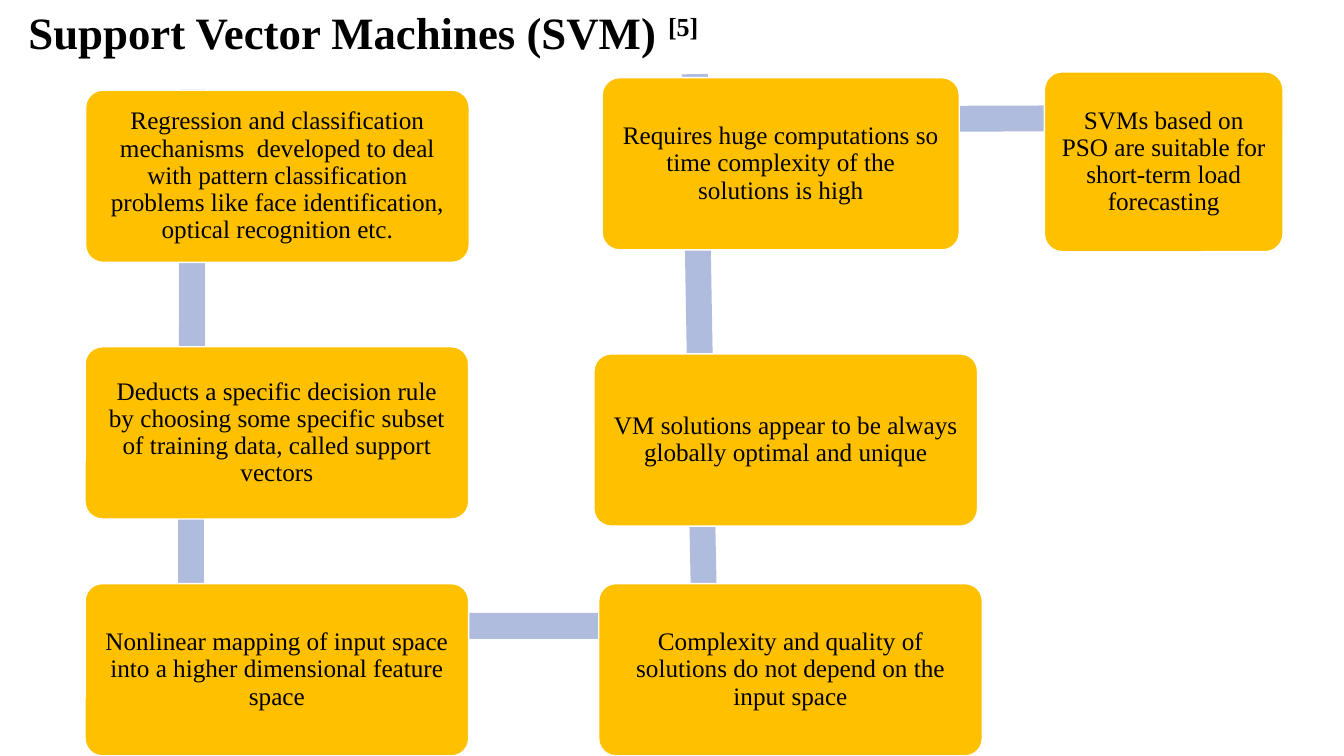
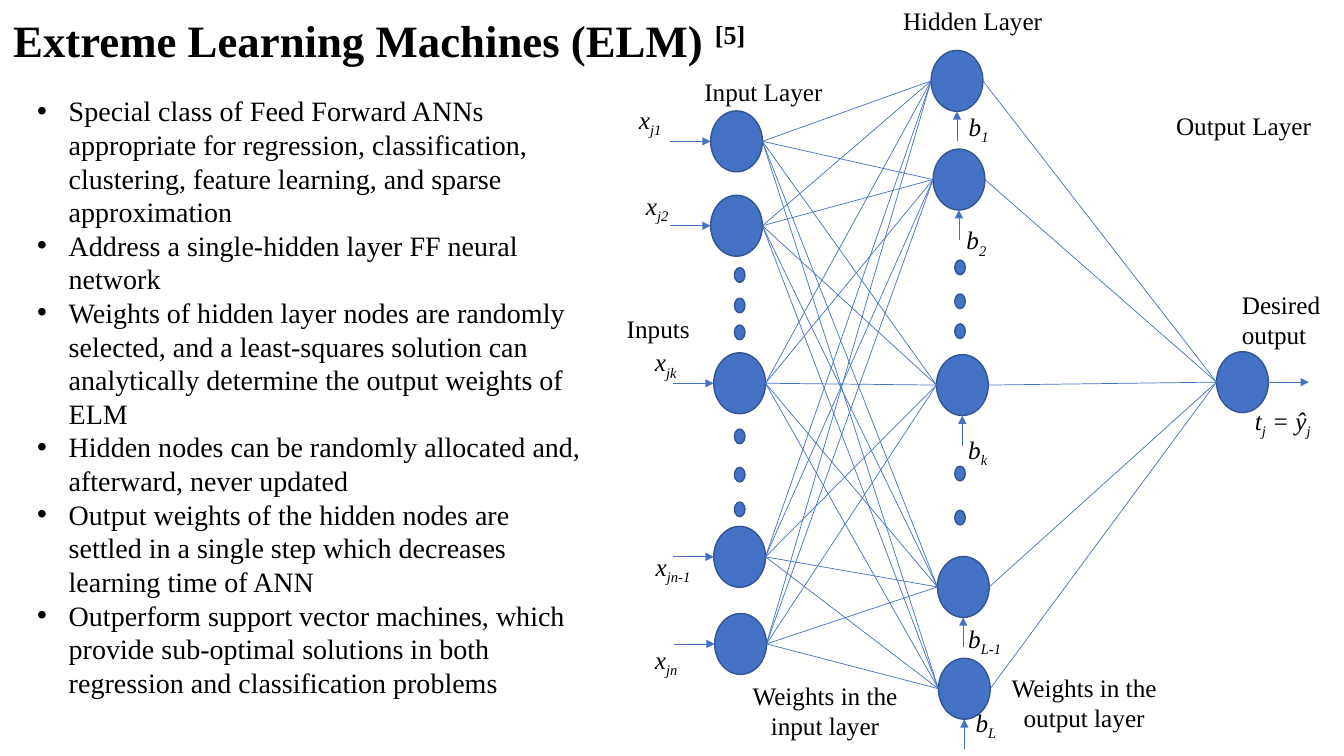
from itertools import product

from lxml import etree
from pptx import Presentation
from pptx.dml.color import RGBColor
from pptx.enum.shapes import MSO_CONNECTOR, MSO_SHAPE
from pptx.enum.text import MSO_ANCHOR, MSO_AUTO_SIZE, PP_ALIGN
from pptx.oxml.ns import qn
from pptx.util import Pt

LEFT, CENTER = PP_ALIGN.LEFT, PP_ALIGN.CENTER
TOP, MIDDLE = MSO_ANCHOR.TOP, MSO_ANCHOR.MIDDLE
NO_AUTOFIT = MSO_AUTO_SIZE.NONE
STRAIGHT = MSO_CONNECTOR.STRAIGHT
RECTANGLE, ROUNDED = MSO_SHAPE.RECTANGLE, MSO_SHAPE.ROUNDED_RECTANGLE
ELLIPSE, DOT = MSO_SHAPE.OVAL, MSO_SHAPE.FLOWCHART_CONNECTOR

COLORS = {
    "text": "000000",
    "white": "FFFFFF",
    "step": "FFC000",
    "band": "B0BCDE",
    "node": "4472C4",
    "node_edge": "325491",
}
FONT = "Times New Roman"
TITLE_SIZE, BODY_SIZE, LABEL_SIZE = 32, 20, 18
SUPERSCRIPT, SUBSCRIPT = 30, -25
TITLE_ONLY, TITLE_AND_BODY = 5, 1

# Process steps: left, top, width, height, text
STEPS = [
    (61.2, 64.4, 274, 123, "Regression and classification mechanisms  developed to deal with "
     "pattern classification problems like face identification, optical recognition etc."),
    (60.8, 247.7, 274, 123, "Deducts a specific decision rule by choosing some specific "
     "subset of training data, called support vectors"),
    (60.8, 416.9, 274, 123, "Nonlinear mapping of input space into a higher dimensional "
     "feature space"),
    (427.7, 416.9, 274, 123, "Complexity and quality of solutions do not depend on the input space"),
    (424.3, 252.8, 274, 123, "VM solutions appear to be always globally optimal and unique"),
    (430.2, 55.5, 255, 123, "Requires huge computations so time complexity of the solutions is high"),
    (746, 51.3, 170.5, 128.5, "SVMs based on PSO are suitable for short-term load forecasting"),
]
# Bands behind the steps: centre x, centre y, length, angle
BANDS = [
    (137.2, 185.8, 244, 90.1),
    (136.4, 362.2, 225.4, 90),
    (320, 447.1, 488.9, 0),
    (501.5, 365, 218.2, 268.8),
    (498.6, 184.3, 262.8, 269),
    (633.2, 85, 272.9, 359.8),
]
BAND_THICKNESS = 18.5

BULLETS = [
    "Special class of Feed Forward ANNs appropriate for regression, classification, "
    "clustering, feature learning, and sparse approximation",
    "Address a single-hidden layer FF neural network",
    "Weights of hidden layer nodes are randomly selected, and a least-squares solution "
    "can analytically determine the output weights of ELM",
    "Hidden nodes can be randomly allocated and, afterward, never updated",
    "Output weights of the hidden nodes are settled in a single step which decreases "
    "learning time of ANN",
    "Outperform support vector machines, which provide sub-optimal solutions in both "
    "regression and classification problems",
]

# Network geometry: left and top of each node
NODE_WIDTH, NODE_HEIGHT = 37, 43.5
INPUT_NODES = [(507.6, 79.2), (507.6, 139.5), (509.8, 252), (509.8, 376), (510.5, 438.2)]
HIDDEN_NODES = [(665.1, 36), (666.5, 106.5), (668.9, 253.3), (669.6, 397.5), (670.3, 470.2)]
OUTPUT_NODE = (869, 251.2)
SIDE_ARROW, BIAS_ARROW = 29, 21.5
DOT_WIDTH, DOT_HEIGHT = 7.5, 10.5
# Dots: left of the column, tops
DOT_COLUMNS = [
    (524.6, [191.2, 213, 232.2, 306.5, 333.8, 358.6]),
    (682, [185.8, 210, 231.3, 333, 364.5]),
]
# Variables: left, top, letter, subscript
VARIABLES = [
    (449.3, 70.6, "x", "j1"), (454.3, 132.5, "x", "j2"), (460.8, 244.1, "x", "jk"),
    (461.3, 390.2, "x", "jn-1"), (460.8, 456.5, "x", "jn"),
    (684.9, 75.6, "b", "1"), (683.3, 157, "b", "2"), (684.5, 306.7, "b", "k"),
    (684.5, 441.4, "b", "L-1"), (689.8, 501.8, "b", "L"),
]
# Captions: left, top, width, alignment, text
CAPTIONS = [
    (440.6, 220.3, 70, LEFT, "Inputs"),
    (880, 203, 78, LEFT, "Desired output"),
    (496, 51.1, 110, LEFT, "Input Layer"),
    (638, 0, 125, LEFT, "Hidden Layer"),
    (833, 75, 122, LEFT, "Output Layer"),
    (526.3, 482.4, 126, CENTER, "Weights in the input layer"),
    (711.4, 476.6, 126, CENTER, "Weights in the output layer"),
]


def color(name):
    return RGBColor.from_string(COLORS[name])


def place(shape, left, top, width, height):
    shape.left, shape.top = Pt(left), Pt(top)
    shape.width, shape.height = Pt(width), Pt(height)


def format_frame(frame, anchor=TOP):
    frame.word_wrap = True
    frame.auto_size = NO_AUTOFIT
    frame.vertical_anchor = anchor


def format_para(para, size, align=LEFT, spacing=1.0, bold=False, italic=False):
    para.alignment = align
    para.line_spacing = spacing
    para.space_before = para.space_after = Pt(0)
    for span in para.runs:
        font = span.font
        font.name, font.size = FONT, Pt(size)
        font.bold, font.italic = bold, italic
        font.color.rgb = color("text")


def add_spans(para, spans):
    """Fill a paragraph with (text, baseline shift in percent) spans."""
    for text, shift in spans:
        span = para.add_run()
        span.text = text
        if shift:
            span._r.get_or_add_rPr().set("baseline", str(shift * 1000))


def add_title(page, text, citation, bounds, align):
    title = page.shapes.title
    place(title, *bounds)
    format_frame(title.text_frame)
    para = title.text_frame.paragraphs[0]
    add_spans(para, [(text + " ", 0), (citation, SUPERSCRIPT)])
    format_para(para, TITLE_SIZE, align, bold=True)


def add_bullets(page, items, bounds):
    body = page.placeholders[1]
    place(body, *bounds)
    frame = body.text_frame
    format_frame(frame)
    frame.text = "\n".join(items)
    for para in frame.paragraphs:
        properties = para._p.get_or_add_pPr()
        properties.set("marL", str(Pt(22.5)))
        properties.set("indent", str(Pt(-22.5)))
        font = etree.SubElement(properties, qn("a:buFont"))
        font.set("typeface", "Arial")
        bullet = etree.SubElement(properties, qn("a:buChar"))
        bullet.set("char", "•")
        format_para(para, BODY_SIZE)


def add_block(page, kind, bounds, fill, line=None):
    shape = page.shapes.add_shape(kind, *(Pt(value) for value in bounds))
    shape.shadow.inherit = False
    shape.fill.solid()
    shape.fill.fore_color.rgb = color(fill)
    if line:
        shape.line.color.rgb = color(line)
        shape.line.width = Pt(1)
    else:
        shape.line.fill.background()
    return shape


def add_band(page, center_x, center_y, length, angle):
    bounds = (center_x - length / 2, center_y - BAND_THICKNESS / 2, length, BAND_THICKNESS)
    add_block(page, RECTANGLE, bounds, "band").rotation = angle


def add_step(page, left, top, width, height, text):
    box = add_block(page, ROUNDED, (left, top, width, height), "step", "white")
    box.adjustments[0] = 0.1
    frame = box.text_frame
    format_frame(frame, MIDDLE)
    frame.margin_left = frame.margin_right = Pt(8.7)
    frame.margin_top = frame.margin_bottom = Pt(8.7)
    frame.text = text
    format_para(frame.paragraphs[0], LABEL_SIZE, CENTER, 0.9)


def add_label(page, left, top, width, spans, align=LEFT, italic=False):
    box = page.shapes.add_textbox(Pt(left), Pt(top), Pt(width), Pt(29))
    format_frame(box.text_frame)
    para = box.text_frame.paragraphs[0]
    add_spans(para, spans)
    format_para(para, LABEL_SIZE, align, italic=italic)


def add_line(page, start, end, arrow=False):
    line = page.shapes.add_connector(STRAIGHT, *(Pt(value) for value in (*start, *end)))
    line.line.color.rgb = color("node")
    line.line.width = Pt(0.5)
    if arrow:
        head = etree.SubElement(line.line._get_or_add_ln(), qn("a:tailEnd"))
        head.set("type", "triangle")
    etree.SubElement(line._element.spPr, qn("a:effectLst"))


def left_of(node):
    return node[0], node[1] + NODE_HEIGHT / 2


def right_of(node):
    return node[0] + NODE_WIDTH, node[1] + NODE_HEIGHT / 2


def below(node):
    return node[0] + NODE_WIDTH / 2, node[1] + NODE_HEIGHT


def shift(point, across=0, down=0):
    return point[0] + across, point[1] + down


def add_network(page):
    # Nodes and the dots between them
    for node in (*INPUT_NODES, *HIDDEN_NODES, OUTPUT_NODE):
        add_block(page, ELLIPSE, (*node, NODE_WIDTH, NODE_HEIGHT), "node", "node_edge")
    for left, tops in DOT_COLUMNS:
        for top in tops:
            add_block(page, DOT, (left, top, DOT_WIDTH, DOT_HEIGHT), "node", "node_edge")

    # Weights between the layers
    for source, target in product(INPUT_NODES, HIDDEN_NODES):
        add_line(page, right_of(source), left_of(target))
    for node in HIDDEN_NODES:
        add_line(page, right_of(node), left_of(OUTPUT_NODE))

    # Input, bias and output arrows
    for node in INPUT_NODES:
        add_line(page, shift(left_of(node), across=-SIDE_ARROW), left_of(node), arrow=True)
    for node in HIDDEN_NODES:
        add_line(page, shift(below(node), down=BIAS_ARROW), below(node), arrow=True)
    exit_point = right_of(OUTPUT_NODE)
    add_line(page, exit_point, shift(exit_point, across=SIDE_ARROW), arrow=True)

    # Labels
    for left, top, letter, index in VARIABLES:
        add_label(page, left, top, 50, [(letter, 0), (index, SUBSCRIPT)], italic=True)
    output = [("t", 0), ("j", SUBSCRIPT), (" = ŷ", 0), ("j", SUBSCRIPT)]
    add_label(page, 889.2, 285.8, 68, output, italic=True)
    for left, top, width, align, text in CAPTIONS:
        add_label(page, left, top, width, [(text, 0)], align)


def main():
    deck = Presentation()
    deck.slide_width, deck.slide_height = Pt(960), Pt(540)

    # Support vector machines
    page = deck.slides.add_slide(deck.slide_layouts[TITLE_ONLY])
    for band in BANDS:
        add_band(page, *band)
    for step in STEPS:
        add_step(page, *step)
    add_title(page, "Support Vector Machines (SVM)", "[5]", (0, 0, 519, 50), CENTER)

    # Extreme learning machines
    page = deck.slides.add_slide(deck.slide_layouts[TITLE_AND_BODY])
    add_network(page)
    add_bullets(page, BULLETS, (19.4, 63.4, 404.6, 468))
    add_title(page, "Extreme Learning Machines (ELM)", "[5]", (2.2, 5.8, 560, 46), LEFT)

    deck.save("out.pptx")


if __name__ == "__main__":
    main()
